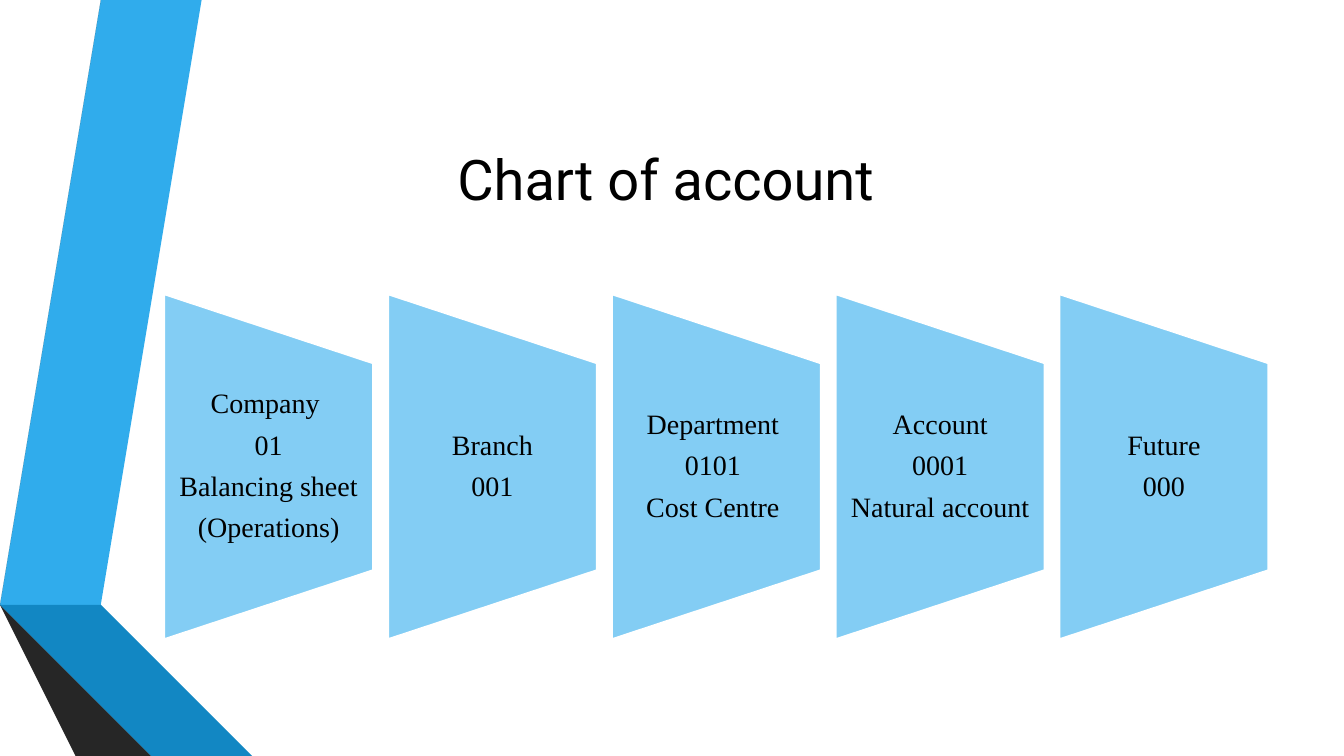
from dataclasses import dataclass

from pptx import Presentation
from pptx.dml.color import RGBColor
from pptx.enum.shapes import MSO_SHAPE
from pptx.enum.text import MSO_ANCHOR, PP_ALIGN
from pptx.util import Inches, Pt

MANUAL_OPERATION = MSO_SHAPE.FLOWCHART_MANUAL_OPERATION
MIDDLE = MSO_ANCHOR.MIDDLE
CENTER = PP_ALIGN.CENTER


@dataclass(frozen=True)
class Theme:
    black: RGBColor = RGBColor.from_string("000000")
    white: RGBColor = RGBColor.from_string("FFFFFF")
    segment: RGBColor = RGBColor.from_string("83CDF4")
    blue: RGBColor = RGBColor.from_string("30ACEC")
    blue_mid: RGBColor = RGBColor.from_string("1287C3")
    blue_dark: RGBColor = RGBColor.from_string("0C5A82")
    gray: RGBColor = RGBColor.from_string("595959")
    gray_mid: RGBColor = RGBColor.from_string("404040")
    gray_dark: RGBColor = RGBColor.from_string("262626")
    title_font: str = "Roboto"
    body_font: str = "Times New Roman"
    title_size: Pt = Pt(40)
    body_size: Pt = Pt(20)


theme = Theme()


def style_paragraph(paragraph, font_name, size):
    paragraph.alignment = CENTER
    paragraph.font.name = font_name
    paragraph.font.size = size
    paragraph.font.color.rgb = theme.black


presentation = Presentation()
presentation.slide_width = Inches(13.33)
presentation.slide_height = Inches(7.5)
slide = presentation.slides.add_slide(presentation.slide_layouts[5])

# Folded ribbons along the left edge
ribbons = [
    (theme.blue, [(0.5, 5.78), (0.77, 5.83), (1.73, 0), (1.45, 0)]),
    (theme.gray, [(1.39, 0), (1.11, 0), (0.16, 5.73), (0.44, 5.77)]),
    (theme.gray_dark, [(0.16, 5.73), (1.45, 7.5), (1.51, 7.5)]),
    (theme.blue_dark, [(0.5, 5.79), (2.08, 7.5), (2.14, 7.5)]),
    (theme.blue_mid, [(0.5, 5.78), (2.14, 7.5), (2.83, 7.5), (0.77, 5.83)]),
    (theme.gray_mid, [(0.16, 5.73), (1.51, 7.5), (2.02, 7.5), (0.48, 5.83), (0.44, 5.77)]),
]
for color, points in ribbons:
    builder = slide.shapes.build_freeform(*points[0], scale=Inches(1))
    builder.add_line_segments(points[1:], close=True)
    ribbon = builder.convert_to_shape()
    ribbon.shadow.inherit = False
    ribbon.fill.solid()
    ribbon.fill.fore_color.rgb = color
    ribbon.line.fill.background()

# Account segments: each shape is turned a quarter, its label stays upright
segments = [
    ["Company ", "01", "Balancing sheet", "(Operations)"],
    ["Branch", "001"],
    ["Department ", "0101 ", "Cost Centre "],
    ["Account", "0001", "Natural account"],
    ["Future", "000"],
]
first_left, pitch, center_y = 1.63, 2.22, 4.63
segment_width, segment_height, label_height = 2.07, 3.42, 2.05

for index, lines in enumerate(segments):
    left = first_left + index * pitch
    segment = slide.shapes.add_shape(
        MANUAL_OPERATION,
        Inches(left + (segment_width - segment_height) / 2),
        Inches(center_y - segment_width / 2),
        Inches(segment_height),
        Inches(segment_width),
    )
    segment.rotation = 270
    segment.shadow.inherit = False
    segment.fill.solid()
    segment.fill.fore_color.rgb = theme.segment
    segment.line.color.rgb = theme.white
    segment.line.width = Pt(1.25)

    label = slide.shapes.add_textbox(
        Inches(left),
        Inches(center_y - label_height / 2),
        Inches(segment_width),
        Inches(label_height),
    )
    frame = label.text_frame
    frame.word_wrap = True
    frame.vertical_anchor = MIDDLE
    frame.margin_left = frame.margin_right = Inches(0.14)
    frame.margin_top = frame.margin_bottom = 0
    frame.text = "\n".join(lines)
    for paragraph in frame.paragraphs:
        style_paragraph(paragraph, theme.body_font, theme.body_size)
        paragraph.line_spacing = 0.9
        paragraph.space_after = Pt(8)

title = slide.shapes.title
title.left, title.top = Inches(1.19), Inches(1.17)
title.width, title.height = Inches(10.96), Inches(1.2)
title.text_frame.text = "Chart of account "
title.text_frame.vertical_anchor = MIDDLE
style_paragraph(title.text_frame.paragraphs[0], theme.title_font, theme.title_size)

presentation.save("out.pptx")
